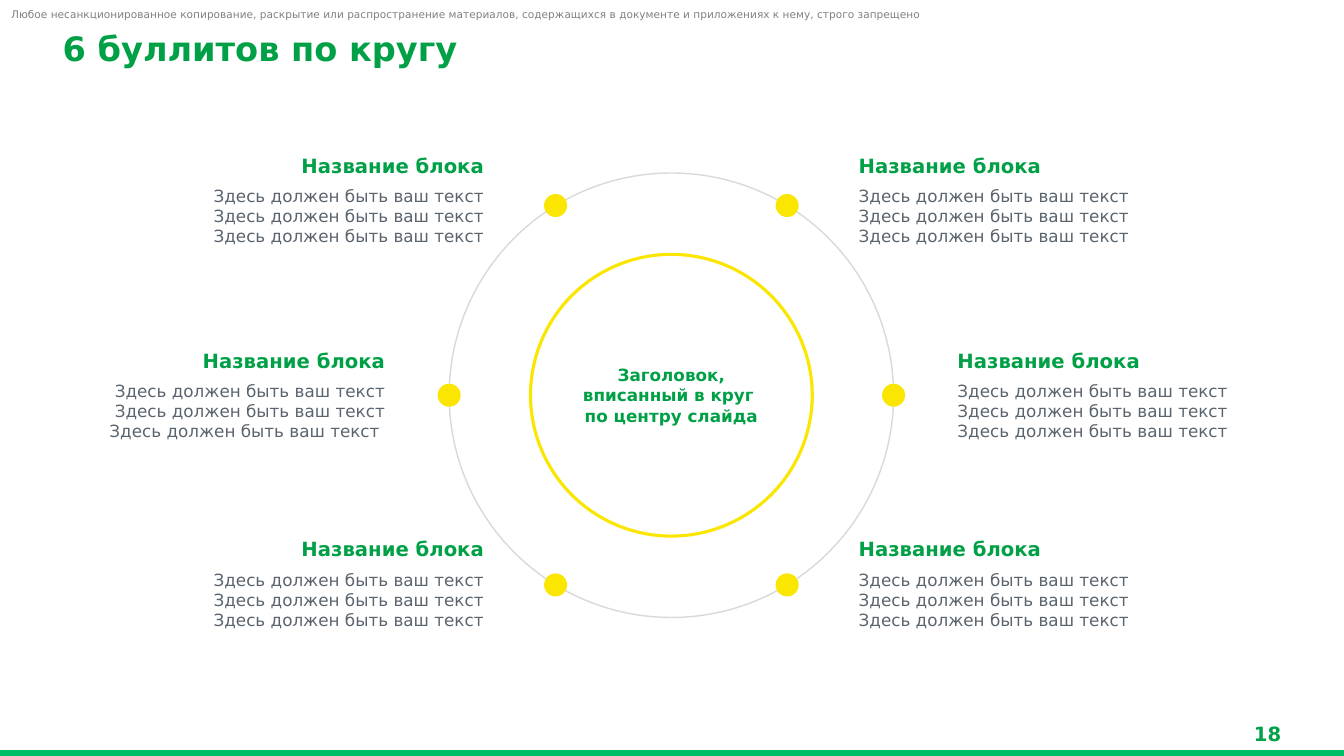
from copy import deepcopy
from math import cos, radians, sin

from pptx import Presentation
from pptx.dml.color import RGBColor
from pptx.enum.shapes import MSO_SHAPE
from pptx.enum.text import MSO_ANCHOR, MSO_AUTO_SIZE, PP_ALIGN
from pptx.oxml.ns import qn
from pptx.util import Cm, Pt

GREEN, BAR_GREEN, YELLOW = "00A046", "00BE64", "FAE600"
TEXT_GRAY, NOTICE_GRAY, RING_GRAY = "5A646E", "808080", "D9D9D9"


def rgb(value):
    return RGBColor.from_string(value)


class SlideBuilder:
    font_name = "DejaVu Sans"

    def __init__(self, slide):
        self.slide = slide

    def fill_text(self, shape, paragraphs, align=PP_ALIGN.LEFT, anchor=MSO_ANCHOR.MIDDLE,
                  space_after=0, grow=False):
        """Fill a shape with (text, size, colour, bold) paragraphs."""
        frame = shape.text_frame
        frame_format = {
            "margin_left": 0, "margin_top": 0, "margin_right": 0, "margin_bottom": 0,
            "word_wrap": True, "vertical_anchor": anchor,
            "auto_size": MSO_AUTO_SIZE.SHAPE_TO_FIT_TEXT if grow else MSO_AUTO_SIZE.NONE,
        }
        for key, value in frame_format.items():
            setattr(frame, key, value)
        for index, (text, size, color, bold) in enumerate(paragraphs):
            paragraph = frame.add_paragraph() if index else frame.paragraphs[0]
            paragraph.text = text
            paragraph.alignment = align
            paragraph.space_after = Pt(space_after)
            for run in paragraph.runs:
                font_format = {"name": self.font_name, "size": Pt(size), "bold": bold}
                for key, value in font_format.items():
                    setattr(run.font, key, value)
                run.font.color.rgb = rgb(color)
            # Line breaks take the size of the text around them
            for line_break in paragraph._p.findall(qn("a:br")):
                line_break.append(deepcopy(paragraph.runs[0]._r.rPr))

    def text(self, left, top, width, height, paragraphs, **layout):
        box = self.slide.shapes.add_textbox(Cm(left), Cm(top), Cm(width), Cm(height))
        self.fill_text(box, paragraphs, **layout)

    def shape(self, kind, left, top, width, height, fill=None, line=None, weight=1):
        shape = self.slide.shapes.add_shape(kind, Cm(left), Cm(top), Cm(width), Cm(height))
        shape.shadow.inherit = False
        if fill:
            shape.fill.solid()
            shape.fill.fore_color.rgb = rgb(fill)
        else:
            shape.fill.background()
        if line:
            shape.line.color.rgb = rgb(line)
            shape.line.width = Pt(weight)
        else:
            shape.line.fill.background()
        return shape

    def circle(self, x, y, radius, **style):
        return self.shape(MSO_SHAPE.OVAL, x - radius, y - radius, 2 * radius, 2 * radius, **style)


def main():
    presentation = Presentation()
    presentation.slide_width, presentation.slide_height = Cm(33.87), Cm(19.05)
    builder = SlideBuilder(presentation.slides.add_slide(presentation.slide_layouts[6]))

    # Page frame
    builder.shape(MSO_SHAPE.RECTANGLE, 0, 18.92, 33.87, 0.13, fill=BAR_GREEN, line=BAR_GREEN)
    notice = ("Любое несанкционированное копирование, раскрытие или распространение материалов, "
              "содержащихся в документе и приложениях к нему, строго запрещено")
    builder.text(0.28, 0.18, 29.16, 0.33, [(notice, 7.5, NOTICE_GRAY, False)],
                 anchor=MSO_ANCHOR.BOTTOM, grow=True)
    builder.text(30.84, 18.19, 1.45, 0.6, [("18", 14, GREEN, True)],
                 align=PP_ALIGN.RIGHT, grow=True)
    builder.text(1.58, 0.71, 25.5, 0.94, [("6 буллитов по кругу", 24, GREEN, True)],
                 anchor=MSO_ANCHOR.TOP, grow=True)

    # Circles
    center_x, center_y, ring_radius = 16.92, 9.96, 5.6
    builder.circle(center_x, center_y, ring_radius, line=RING_GRAY)
    hub = builder.circle(center_x, center_y, 3.55, line=YELLOW, weight=2.25)
    heading = "Заголовок, вписанный в круг \nпо центру слайда"
    # A line break inside the paragraph is a vertical tab
    heading, line_break = heading.replace("\n", "\v"), "\v"
    builder.fill_text(hub, [(heading, 12, GREEN, True)], align=PP_ALIGN.CENTER)

    # Six blocks, mirrored about the centre, each with a dot on the ring
    block_width, block_height = 8.1, 2.39
    body = line_break.join(["Здесь должен быть ваш текст"] * 3)
    rows = [(-58.6, 4.72, 3.84), (0, 7.21, 8.76), (58.6, 4.72, 13.51)]
    for angle, gap, top in rows:
        dot_x = ring_radius * cos(radians(angle))
        dot_y = center_y + ring_radius * sin(radians(angle))
        for side in (-1, 1):
            on_left = side < 0
            left = center_x - gap - block_width if on_left else center_x + gap
            ending = " " if on_left and angle == 0 else ""
            builder.text(left, top, block_width, block_height,
                         [("Название блока", 14, GREEN, True),
                          (body + ending, 12, TEXT_GRAY, False)],
                         align=PP_ALIGN.RIGHT if on_left else PP_ALIGN.LEFT, space_after=6)
            builder.circle(center_x + side * dot_x, dot_y, 0.29, fill=YELLOW)

    presentation.save("out.pptx")


if __name__ == "__main__":
    main()
